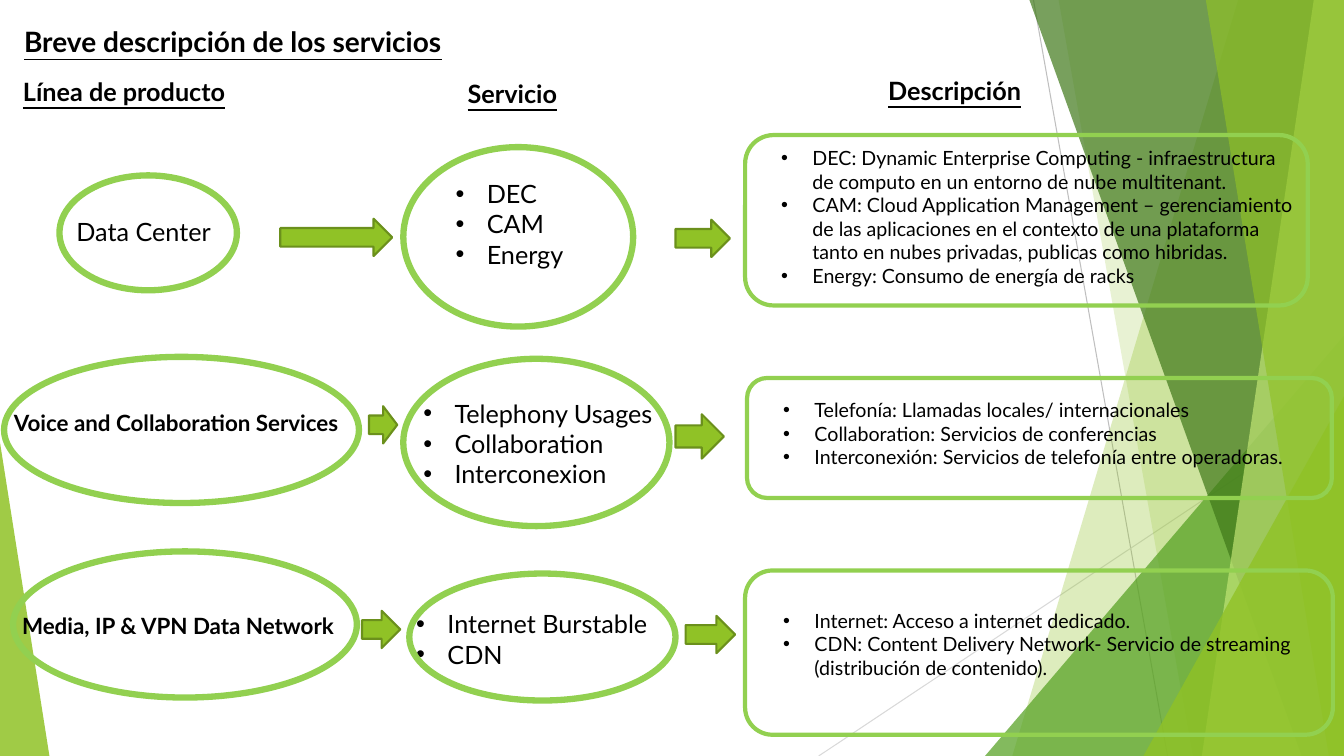
from pptx import Presentation
from pptx.dml.color import RGBColor
from pptx.enum.shapes import MSO_CONNECTOR, MSO_SHAPE
from pptx.enum.text import MSO_AUTO_SIZE
from pptx.oxml.ns import qn
from pptx.oxml.xmlchemy import OxmlElement as Element
from pptx.util import Inches, Pt

WIDTH, HEIGHT = 13.33, 7.5
FONT, BULLET_INDENT = "Lato", 0.31
COLORS = {
    "text": "000000", "outline": "92D050", "arrow": "90C226", "arrow_edge": "6B901C",
    "lime": "90C226", "green": "54A021", "forest": "3F7819", "pale": "C0E474",
    "ray": "BFBFBF", "soft_ray": "D9D9D9",
}

RAYS = [((10.25, 0), (11.58, HEIGHT), "ray"), ((WIDTH, 4.03), (8.12, HEIGHT), "soft_ray")]
FACETS = [
    ("band", 12.28, 10.04, "lime", 30),
    ("band", 10.5, 11.83, "lime", 20),
    ("corner", 9.77, 3.33, "green", 72),
    ("band", 10.21, 12.91, "forest", 70),
    ("band", 13.03, 11.92, "pale", 70),
    ("band", 11.96, 13.18, "lime", 65),
    ("corner", 11.34, 3.93, "lime", 80),
]
LEFT_CORNER = (0, 4.39, 0.49, HEIGHT - 4.39)

HEADINGS = [
    ("Breve descripción de los servicios", (0.14, 0.19, 6.78, 0.44), 20),
    ("Línea de producto", (0.13, 0.71, 2.93, 0.4), 18),
    ("Servicio", (4.54, 0.73, 2.28, 0.4), 18),
    ("Descripción", (8.71, 0.7, 2.28, 0.4), 18),
]

ROWS = [
    {
        "product": ("Data Center", (0.66, 2.1, 1.7, 0.4), 18, False),
        "services": (["DEC", "CAM", "Energy"], (4.42, 1.72, 1.43, 1.01)),
        "details": ([
            "DEC: Dynamic Enterprise Computing - infraestructura de computo en un "
            "entorno de nube multitenant.",
            "CAM: Cloud Application Management – gerenciamiento de las aplicaciones en el "
            "contexto de una plataforma tanto en nubes privadas, publicas como hibridas.",
            "Energy: Consumo de energía de racks",
        ], (7.65, 1.4, 5.3, 1.51)),
        "ellipses": [(0.59, 1.74, 1.76, 1.14), (4, 1.46, 2.28, 1.78)],
        "arrows": [(2.78, 2.17, 1.11, 0.37), (6.7, 2.18, 0.54, 0.37)],
        "frame": (7.39, 1.34, 5.58, 1.69),
    },
    {
        "product": ("Voice and Collaboration Services", (0.04, 4.01, 4.06, 0.37), 16, True),
        "services": (["Telephony Usages", "Collaboration", "Interconexion"],
                     (4.1, 3.9, 2.8, 1.01)),
        "details": ([
            "Telefonía: Llamadas locales/ internacionales",
            "Collaboration: Servicios de conferencias",
            "Interconexión: Servicios de telefonía entre operadoras.",
        ], (7.67, 3.9, 5.54, 0.81)),
        "ellipses": [(0.04, 3.54, 3.52, 1.45), (4, 3.56, 2.64, 1.66)],
        "arrows": [(3.66, 4.03, 0.28, 0.37), (6.7, 4.11, 0.48, 0.44)],
        "frame": (7.41, 3.75, 5.8, 1.19),
    },
    {
        "product": ("Media, IP & VPN Data Network", (0.12, 6.02, 3.88, 0.37), 16, True),
        "services": (["Internet Burstable", "CDN"], (4.03, 5.99, 3.2, 0.71)),
        "details": ([
            "Internet: Acceso a internet dedicado.",
            "CDN: Content Delivery Network- Servicio de streaming "
            "(distribución de contenido).",
        ], (7.67, 5.99, 5.3, 0.81)),
        "ellipses": [(0.13, 5.47, 3.41, 1.45), (4.06, 5.69, 2.64, 1.26)],
        "arrows": [(3.59, 6.06, 0.38, 0.37), (6.8, 6.11, 0.49, 0.37)],
        "frame": (7.39, 5.66, 5.83, 1.63),
    },
]


def color(name):
    return RGBColor.from_string(COLORS[name])


def inches(values):
    return [Inches(value) for value in values]


def style(shape, fill=None, line=None, weight=0, opacity=100):
    shape.shadow.inherit = False
    if fill:
        shape.fill.solid()
        shape.fill.fore_color.rgb = color(fill)
        if opacity < 100:
            tint = shape._element.spPr.find(qn("a:solidFill"))[0]
            alpha = Element("a:alpha")
            alpha.set("val", str(opacity * 1000))
            tint.append(alpha)
    else:
        shape.fill.background()
    if line:
        shape.line.color.rgb = color(line)
        shape.line.width = Pt(weight)
    else:
        shape.line.fill.background()


def add_preset(page, kind, place, **look):
    shape = page.shapes.add_shape(kind, *inches(place))
    style(shape, **look)
    return shape


def add_triangle(page, place, apex, fill, opacity):
    shape = add_preset(page, MSO_SHAPE.ISOSCELES_TRIANGLE, place, fill=fill, opacity=opacity)
    shape.adjustments[0] = apex


def add_band(page, top, bottom, fill, opacity):
    outline = [(WIDTH, 0), (WIDTH, HEIGHT), (bottom, HEIGHT)]
    builder = page.shapes.build_freeform(Inches(top), 0)
    builder.add_line_segments([inches(point) for point in outline], close=True)
    style(builder.convert_to_shape(), fill=fill, opacity=opacity)


def add_text(page, lines, place, size, bold=False, underline=False, bullets=False):
    box = page.shapes.add_textbox(*inches(place))
    frame = box.text_frame
    frame.word_wrap = True
    frame.auto_size = MSO_AUTO_SIZE.SHAPE_TO_FIT_TEXT
    frame.text = "\n".join(lines)
    for para in frame.paragraphs:
        if bullets:
            props = para._p.get_or_add_pPr()
            props.set("marL", str(Inches(BULLET_INDENT)))
            props.set("indent", str(-Inches(BULLET_INDENT)))
            for tag, key, value in (("a:buFont", "typeface", "Arial"), ("a:buChar", "char", "•")):
                mark = Element(tag)
                mark.set(key, value)
                props.append(mark)
        for span in para.runs:
            font = span.font
            font.name, font.size, font.bold = FONT, Pt(size), bold
            font.underline = underline
            font.color.rgb = color("text")


def draw_backdrop(page):
    for start, end, shade in RAYS:
        ray = page.shapes.add_connector(MSO_CONNECTOR.STRAIGHT, *inches(start + end))
        ray.line.color.rgb = color(shade)
        ray.line.width = Pt(0.75)
        ray._element.spPr.append(Element("a:effectLst"))
    for kind, first, second, fill, opacity in FACETS:
        if kind == "band":
            add_band(page, first, second, fill, opacity)
        else:
            place = (first, second, WIDTH - first, HEIGHT - second)
            add_triangle(page, place, 1, fill, opacity)
    add_triangle(page, LEFT_CORNER, 0, "lime", 85)


def draw_row(page, row):
    name, place, size, bold = row["product"]
    add_text(page, [name], place, size, bold=bold)
    add_text(page, *row["services"], 18, bullets=True)
    add_text(page, *row["details"], 14, bullets=True)
    for place in row["ellipses"]:
        add_preset(page, MSO_SHAPE.OVAL, place, line="outline", weight=4.5)
    for place in row["arrows"]:
        add_preset(page, MSO_SHAPE.RIGHT_ARROW, place,
                   fill="arrow", line="arrow_edge", weight=1.5)
    add_preset(page, MSO_SHAPE.ROUNDED_RECTANGLE, row["frame"], line="outline", weight=3)


def main():
    """Build the overview of product lines, services and descriptions."""
    deck = Presentation()
    deck.slide_width, deck.slide_height = inches((WIDTH, HEIGHT))
    page = deck.slides.add_slide(deck.slide_layouts[6])
    draw_backdrop(page)
    for title, place, size in HEADINGS:
        add_text(page, [title], place, size, bold=True, underline=True)
    for row in ROWS:
        draw_row(page, row)
    deck.save("out.pptx")


main()
